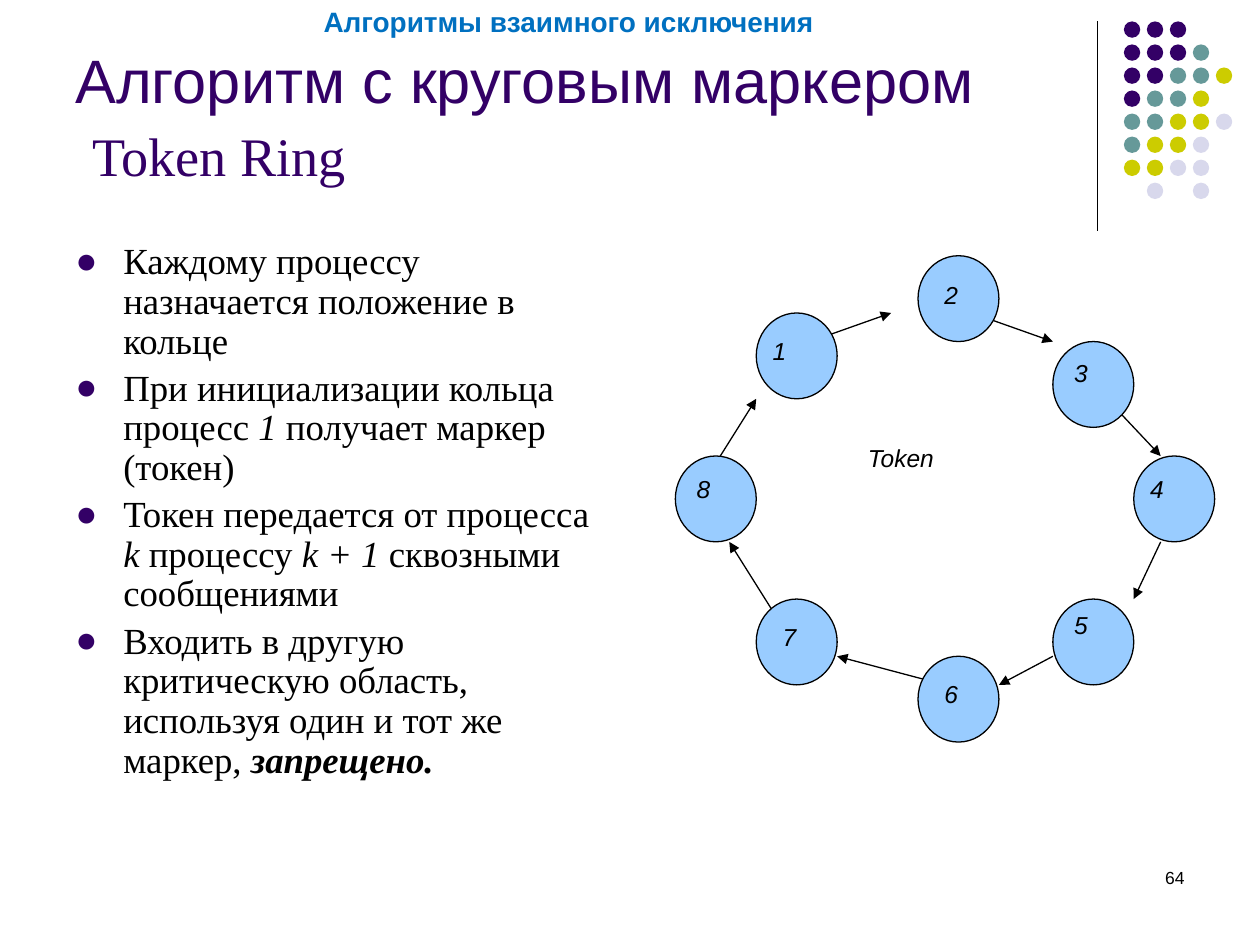
from lxml import etree
from pptx import Presentation
from pptx.dml.color import RGBColor
from pptx.enum import shapes, text
from pptx.oxml.ns import qn
from pptx.util import Inches, Pt

SANS, SERIF = "Arial", "Times New Roman"
BLACK, PLUM = "000000", "330066"
DOTS = {"P": PLUM, "T": "669999", "Y": "CCCC00", "L": "D8D8EC"}


def color(code):
    return RGBColor.from_string(code)


def add_run(para, words, size, font=SANS, code=BLACK, bold=False, slant=False):
    run = para.add_run()
    run.text = words
    run.font.size, run.font.name = Pt(size), font
    run.font.bold, run.font.italic = bold, slant
    run.font.color.rgb = color(code)


def add_text(slide, box, inset=True, wrap=True):
    frame = slide.shapes.add_textbox(*map(Inches, box)).text_frame
    frame.word_wrap = wrap
    if not inset:
        frame.margin_left = frame.margin_right = 0
        frame.margin_top = frame.margin_bottom = 0
    return frame


def add_disc(slide, box, fill, edge=None):
    disc = slide.shapes.add_shape(shapes.MSO_SHAPE.OVAL, *map(Inches, box))
    disc.shadow.inherit = False
    disc.fill.solid()
    disc.fill.fore_color.rgb = color(fill)
    if edge:
        disc.line.color.rgb = color(edge)
        disc.line.width = Pt(0.75)
    else:
        disc.line.fill.background()


def add_line(slide, ends, arrow=False):
    line = slide.shapes.add_connector(
        shapes.MSO_CONNECTOR.STRAIGHT, *map(Inches, ends))
    line.line.color.rgb = color(BLACK)
    line.line.width = Pt(0.75)
    if arrow:
        etree.SubElement(line.line._get_or_add_ln(), qn("a:tailEnd"),
                         type="triangle")
    etree.SubElement(line._element.spPr, qn("a:effectLst"))


def draw_dots(slide, box):
    """Corner ornament: a rule and a grid of coloured dots."""
    left, top, wide, high = box
    rows = ["PPP", "PPPT", "PPTTY", "PTTY", "TTYYL", "TYYL", "YYLL", " L L"]
    size = 0.13
    dx, dy = (wide - size) / 4, (high - size) / 7
    add_line(slide, (left - 0.21, top, left - 0.21, top + 1.66))
    for i, row in enumerate(rows):
        for j, key in enumerate(row):
            if key in DOTS:
                add_disc(slide, (left + j * dx, top + i * dy, size, size),
                         DOTS[key])


def draw_title(slide, box):
    frame = add_text(slide, box)
    frame.vertical_anchor = text.MSO_ANCHOR.BOTTOM
    para = frame.paragraphs[0]
    add_run(para, "Алгоритм с круговым маркером", 35, code=PLUM)
    para.add_line_break()
    add_run(para, " ", 35, code=PLUM)
    add_run(para, "Token Ring", 31, SERIF, PLUM)


def draw_topic(slide, box):
    para = add_text(slide, box).paragraphs[0]
    add_run(para, "Алгоритмы взаимного исключения", 16, code="0070C0", bold=True)


def draw_list(slide, box):
    # Each run is its words and a style: b = bold, i = italic
    items = [
        [("Каждому процессу назначается положение в кольце", "")],
        [("При инициализации кольца процесс ", ""), ("1", "i"),
         (" получает маркер (токен)", "")],
        [("Токен передается от процесса ", ""), ("k", "i"),
         (" процессу ", ""), ("k + 1 ", "i"), ("сквозными сообщениями", "")],
        [("Входить в другую критическую область, используя один и тот же "
          "маркер, ", ""), ("запрещено.", "bi")],
    ]
    frame = add_text(slide, box)
    for n, item in enumerate(items):
        para = frame.add_paragraph() if n else frame.paragraphs[0]
        para.line_spacing = 0.9
        para.space_before = Pt(4.2 if n else 0)
        props = para._p.get_or_add_pPr()
        props.set("marL", str(Inches(0.38)))
        props.set("indent", str(Inches(-0.38)))
        tint = etree.SubElement(props, qn("a:buClr"))
        etree.SubElement(tint, qn("a:srgbClr"), val=PLUM)
        etree.SubElement(props, qn("a:buFont"), typeface=SANS)
        etree.SubElement(props, qn("a:buChar"), char="●")
        for words, style in item:
            add_run(para, words, 21, SERIF, bold="b" in style,
                    slant="i" in style)


def draw_ring(slide, box):
    """Eight processes on a grid of 20 by 17 units, each 3 units across."""
    left, top, wide, high = box
    dx, dy = wide / 20, high / 17

    def place(col, row):
        return left + col * dx, top + row * dy

    # Arrows: from column, row to column, row
    arrows = [(5, 3, 8, 2), (11, 2, 14, 3), (16, 5, 18, 7), (18, 10, 17, 12),
              (14, 14, 12, 15), (10, 15, 6, 14), (4, 13, 2, 10), (1, 8, 3, 5)]
    for a in arrows:
        add_line(slide, place(*a[:2]) + place(*a[2:]), arrow=True)

    # Processes: column, row, then label shift in inches
    nodes = [(3, 2, 0.13, 0.18), (9, 0, 0.21, 0.19), (14, 3, 0.17, 0.13),
             (17, 7, 0.13, 0.14), (14, 12, 0.17, 0.09), (9, 14, 0.21, 0.18),
             (3, 12, 0.21, 0.18), (0, 7, 0.17, 0.14)]
    for n, (col, row, right, down) in enumerate(nodes, 1):
        x, y = place(col, row)
        add_disc(slide, (x, y, 3 * dx, 3 * dy), "99CCFF", BLACK)
        frame = add_text(slide, (x + right, y + down, 0.1, 0.23), False, False)
        add_run(frame.paragraphs[0], str(n), 14, slant=True)

    # Caption inside the ring
    frame = add_text(slide, (left + 1.43, top + 1.44, 1.14, 0.43))
    add_run(frame.paragraphs[0], "Token", 14, slant=True)


def draw_page(slide, box):
    para = add_text(slide, box).paragraphs[0]
    para.alignment = text.PP_ALIGN.RIGHT
    add_run(para, "64", 10)


def main():
    deck = Presentation()
    deck.slide_width, deck.slide_height = Inches(10), Inches(7.5)
    slide = deck.slides.add_slide(deck.slide_layouts[6])
    draw_dots(slide, (8.92, 0.17, 0.86, 1.41))
    draw_page(slide, (7.17, 6.83, 2.33, 0.5))
    draw_list(slide, (0.5, 1.88, 4.42, 4.82))
    draw_ring(slide, (5.36, 2.03, 4.28, 3.86))
    draw_title(slide, (0.5, 0.13, 8.25, 1.42))
    draw_topic(slide, (2.47, -0.01, 4.2, 0.37))
    deck.save("out.pptx")


if __name__ == "__main__":
    main()
